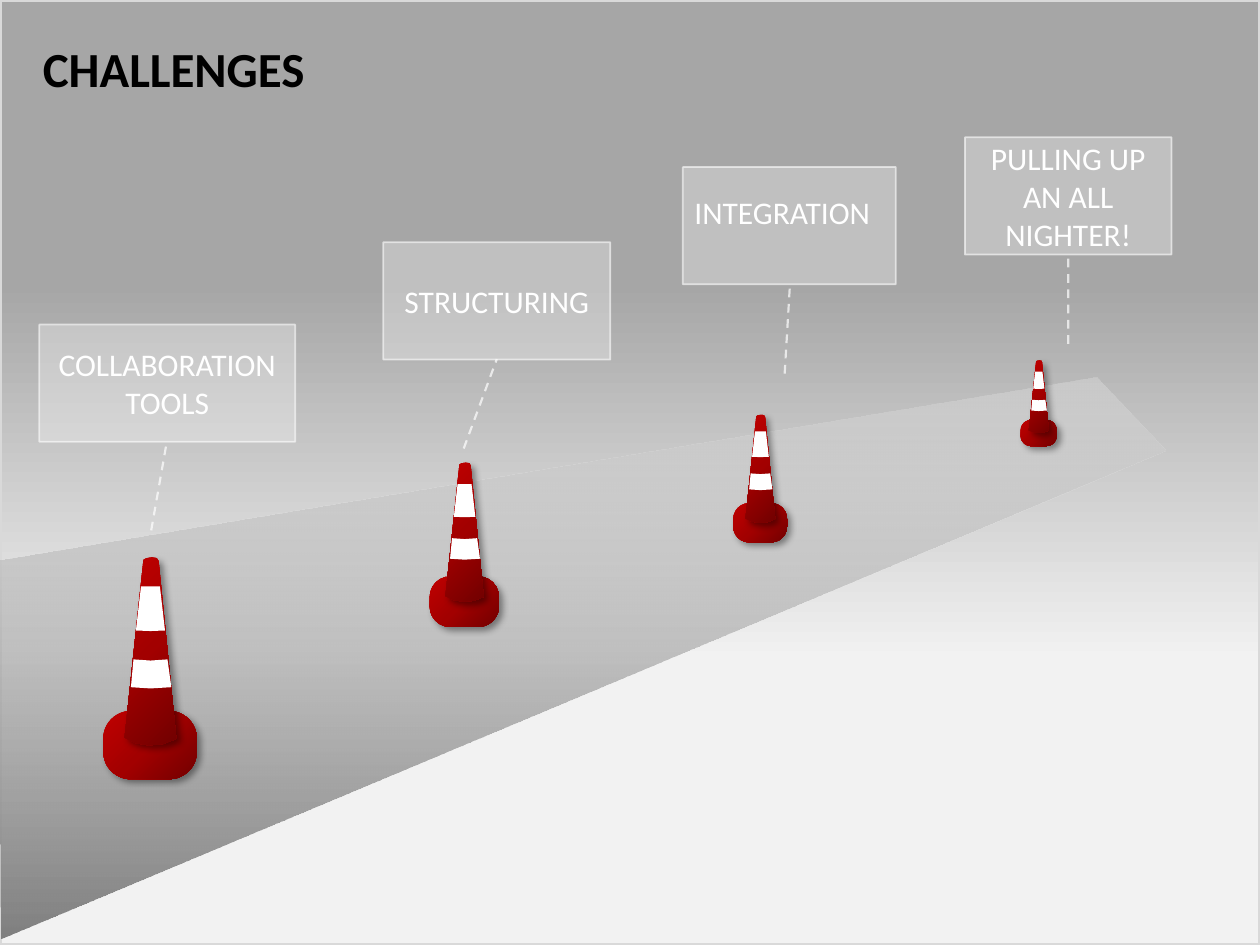
from lxml.etree import SubElement
from pptx import Presentation
from pptx.dml.color import RGBColor
from pptx.enum.dml import MSO_LINE
from pptx.enum.shapes import MSO_CONNECTOR as CONNECTOR, MSO_SHAPE as SHAPE
from pptx.enum.text import MSO_ANCHOR as ANCHOR, MSO_AUTO_SIZE as AUTO_SIZE, PP_ALIGN as ALIGN
from pptx.oxml import parse_xml
from pptx.oxml.ns import nsdecls, qn
from pptx.util import Pt

BLACK = RGBColor(0x00, 0x00, 0x00)
WHITE = RGBColor(0xFF, 0xFF, 0xFF)
FRAME_GREY = RGBColor(0xD9, 0xD9, 0xD9)
SKY_GREY = RGBColor(0xA6, 0xA6, 0xA6)
GROUND_GREY = RGBColor(0xF2, 0xF2, 0xF2)
ROAD_GREY = RGBColor(0x80, 0x80, 0x80)
DARK_RED = RGBColor(0x72, 0x00, 0x00)
MID_RED = RGBColor(0xA2, 0x00, 0x00)
RED = RGBColor(0xC0, 0x00, 0x00)

DOWNWARD = '<a:lin ang="5400000" scaled="0"/>'
FROM_CORNER = '<a:path path="circle"><a:fillToRect l="100000" t="100000"/></a:path>'


def write(shape, text, size=18, color=WHITE, bold=False, align=ALIGN.CENTER, anchor=ANCHOR.MIDDLE):
    frame = shape.text_frame
    frame.word_wrap = True
    frame.vertical_anchor = anchor
    paragraph = frame.paragraphs[0]
    paragraph.alignment = align
    run = paragraph.add_run()
    run.text = text
    run.font.name = "Calibri"
    run.font.size = Pt(size)
    run.font.bold = bold
    run.font.color.rgb = color


def shade(shape, stops, direction):
    shape.shadow.inherit = False
    shape.line.fill.background()
    shape.fill.background()
    marks = "".join(
        f'<a:gs pos="{place * 1000}"><a:srgbClr val="{color}"><a:alpha val="{alpha * 1000}"/></a:srgbClr></a:gs>'
        for place, color, alpha in stops
    )
    gradient = parse_xml(f'<a:gradFill {nsdecls("a")} rotWithShape="1"><a:gsLst>{marks}</a:gsLst>{direction}</a:gradFill>')
    properties = shape._element.spPr
    properties.replace(properties.find(qn("a:noFill")), gradient)


prs = Presentation()
prs.slide_width, prs.slide_height = Pt(720), Pt(540)
slide = prs.slides.add_slide(prs.slide_layouts[6])
shapes = slide.shapes

backdrop = shapes.add_shape(SHAPE.RECTANGLE, 0, 0, Pt(720), Pt(540))
shade(backdrop, [(30, SKY_GREY, 100), (70, GROUND_GREY, 100)], DOWNWARD)
backdrop.line.color.rgb = FRAME_GREY
backdrop.line.width = Pt(2)

title = shapes.add_textbox(Pt(24.5), Pt(15.1), Pt(671), Pt(47.5))
title.text_frame.margin_left = title.text_frame.margin_right = 0
write(title, "CHALLENGES", size=28, color=BLACK, bold=True, align=ALIGN.LEFT)

road_edge = [(626.4, 216), (666, 257.8), (0.7, 536.4), (0, 428), (-0.7, 320.4)]
corners = [(Pt(x), Pt(y)) for x, y in road_edge]
builder = shapes.build_freeform(*corners[0])
builder.add_line_segments(corners[1:])
road = builder.convert_to_shape()
shade(road, [(0, FRAME_GREY, 50), (100, ROAD_GREY, 100)], DOWNWARD)

cone_body = [
    (41.8, 103.7), (34.1, 106.7), (25.9, 107.4), (18.2, 106.1), (12.2, 103),
    (23, 1.4), (24.6, 0.5), (27.8, 0), (30.6, 0.4), (31.7, 2.2),
]
upper_stripe = [(21.6, 16.6), (32.4, 16.6), (35.3, 41.8), (27, 42.1), (18.7, 41.8)]
lower_stripe = [(17.3, 58.3), (27, 59), (36.7, 58.3), (38.9, 74.2), (27, 74.9), (15.8, 74.2)]
cone_reds = [(0, DARK_RED, 100), (50, MID_RED, 100), (100, RED, 100)]
cones = [(59, 318.5, 1), (245.5, 264.4, 0.74), (419, 237, 0.575), (583.2, 206, 0.386)]

for left, top, scale in cones:
    cone = shapes.add_group_shape().shapes
    base = cone.add_shape(
        SHAPE.ROUNDED_RECTANGLE, Pt(left), Pt(top + 87.8 * scale), Pt(53.5 * scale), Pt(39 * scale)
    )
    base.adjustments[0] = 0.405
    parts = []
    for outline in (cone_body, upper_stripe, lower_stripe):
        corners = [(Pt(left + x * scale), Pt(top + y * scale)) for x, y in outline]
        builder = cone.build_freeform(*corners[0])
        builder.add_line_segments(corners[1:])
        parts.append(builder.convert_to_shape())
    body, *stripes = parts
    for red_part in (base, body):
        shade(red_part, cone_reds, FROM_CORNER)
        effects = red_part._element.spPr.find(qn("a:effectLst"))
        effects.append(parse_xml(
            f'<a:outerShdw {nsdecls("a")} blurRad="{Pt(4)}" dist="{Pt(3)}" dir="2700000" algn="tl" rotWithShape="0">'
            '<a:srgbClr val="000000"><a:alpha val="40000"/></a:srgbClr></a:outerShdw>'
        ))
    for stripe in stripes:
        stripe.shadow.inherit = False
        stripe.fill.solid()
        stripe.fill.fore_color.rgb = WHITE
        stripe.line.fill.background()

callouts = [
    ("COLLABORATION TOOLS", 22.5, 185.5, 146.2, (86.4, 303.1), (95.4, 252)),
    ("STRUCTURING", 219, 138.5, 129.8, (265, 256.3), (283.9, 205.2)),
    ("", 390.2, 95.5, 121.7, (448.4, 213.5), (451.4, 162.7)),
    ("PULLING UP AN ALL NIGHTER!", 551.4, 78.5, 118.1, (610.4, 196.5), (610.4, 145.5)),
]
for label, left, top, width, foot, head in callouts:
    callout = shapes.add_group_shape().shapes
    panel = callout.add_shape(SHAPE.RECTANGLE, Pt(left), Pt(top), Pt(width), Pt(67))
    panel.shadow.inherit = False
    panel.fill.solid()
    panel.fill.fore_color.rgb = WHITE
    panel.line.color.rgb = WHITE
    panel.line.width = Pt(1)
    if label:
        write(panel, label)

    leader = callout.add_connector(CONNECTOR.STRAIGHT, *(Pt(value) for value in foot + head))
    leader.line.color.rgb = WHITE
    leader.line.width = Pt(1.25)
    leader.line.dash_style = MSO_LINE.DASH
    SubElement(leader._element.spPr, qn("a:effectLst"))

    for part, opacities in ((panel, (30, 60)), (leader, (70,))):
        for color, opacity in zip(part._element.spPr.iter(qn("a:srgbClr")), opacities):
            SubElement(color, qn("a:alpha")).set("val", str(opacity * 1000))

integration = shapes.add_textbox(Pt(388), Pt(106.6), Pt(118.1), Pt(29))
write(integration, "INTEGRATION", anchor=ANCHOR.TOP)
integration.text_frame.auto_size = AUTO_SIZE.SHAPE_TO_FIT_TEXT

prs.save("out.pptx")
